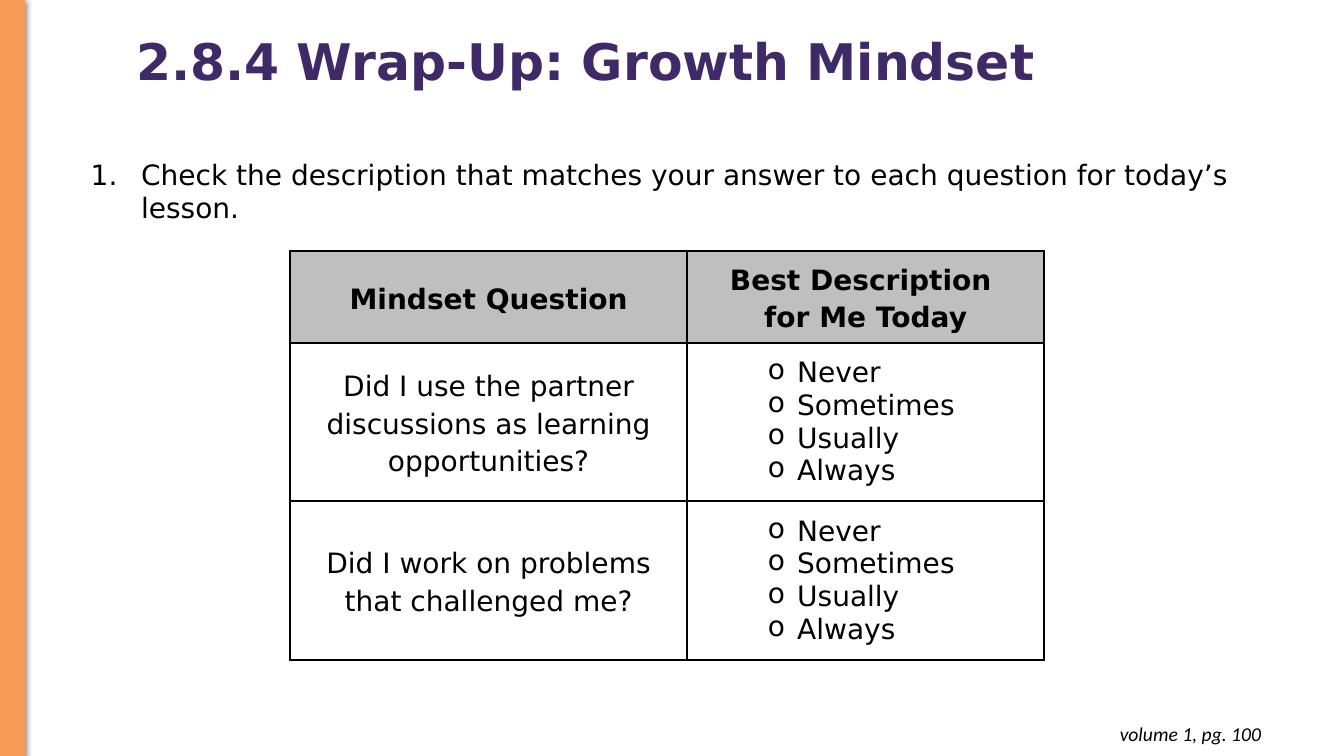
import lxml.etree
import pptx
import pptx.dml.color
import pptx.enum.shapes
import pptx.enum.text
import pptx.oxml.ns
import pptx.util

Pt = pptx.util.Pt
RGBColor = pptx.dml.color.RGBColor
Align = pptx.enum.text.PP_ALIGN
Anchor = pptx.enum.text.MSO_ANCHOR
qn = pptx.oxml.ns.qn

ORANGE = RGBColor(0xF7, 0x9B, 0x59)
PURPLE = RGBColor(0x3F, 0x2A, 0x67)
GREY = RGBColor(0xBF, 0xBF, 0xBF)
WHITE = RGBColor(0xFF, 0xFF, 0xFF)
BLACK = RGBColor(0, 0, 0)

TITLE_FONT = {"name": "DejaVu Sans", "size": Pt(36), "bold": True}
BODY_FONT = {"name": "DejaVu Sans", "size": Pt(20), "bold": False}
HEADER_FONT = {**BODY_FONT, "bold": True}
NOTE_FONT = {"name": "Calibri", "size": Pt(14), "italic": True}

TITLE_PARA = {"alignment": Align.LEFT, "line_spacing": 0.9}
PLAIN_PARA = {"alignment": Align.LEFT, "space_before": Pt(0)}
NOTE_PARA = {"alignment": Align.RIGHT}
CELL_PARA = {
    "alignment": Align.CENTER,
    "line_spacing": 1.15,
    "space_before": Pt(1.8),
    "space_after": Pt(1.8),
}

NUMBER = {"tag": "a:buAutoNum", "values": {"type": "arabicPeriod"}, "left": 36, "hang": 36}
CIRCLE = {"tag": "a:buChar", "values": {"char": "o"}, "left": 71.28, "hang": 20.88}

QUESTIONS = [
    "Did I use the partner discussions as learning opportunities?",
    "Did I work on problems that challenged me?",
]
CHOICES = ["Never", "Sometimes", "Usually", "Always"]


def apply_format(target, values):
    for name, value in values.items():
        setattr(target, name, value)


def add_element(parent, tag, **values):
    return lxml.etree.SubElement(parent, qn(tag), values)


def add_bullet(para, bullet):
    properties = para._p.get_or_add_pPr()
    properties.set("marL", str(Pt(bullet["left"])))
    properties.set("indent", str(-Pt(bullet["hang"])))
    colour = add_element(properties, "a:buClr")
    add_element(colour, "a:srgbClr", val=str(BLACK))
    add_element(properties, bullet["tag"], **bullet["values"])


def write_lines(frame, lines, para_format, font_format, colour=BLACK, bullet=None):
    for index, line in enumerate(lines):
        para = frame.add_paragraph() if index else frame.paragraphs[0]
        para.text = line
        if bullet:
            add_bullet(para, bullet)
        apply_format(para, para_format)
        for span in para.runs:
            apply_format(span.font, font_format)
            span.font.color.rgb = colour


def place(shape, box):
    apply_format(shape, dict(zip(("left", "top", "width", "height"), map(Pt, box))))


def prepare_frame(frame, anchor):
    apply_format(frame, {
        "word_wrap": True,
        "vertical_anchor": anchor,
        "auto_size": pptx.enum.text.MSO_AUTO_SIZE.SHAPE_TO_FIT_TEXT,
    })


def draw_side_bar(page, box):
    bar = page.shapes.add_shape(pptx.enum.shapes.MSO_SHAPE.RECTANGLE, *map(Pt, box))
    bar.fill.solid()
    bar.fill.fore_color.rgb = ORANGE
    bar.line.color.rgb = ORANGE
    bar.line.width = Pt(0.75)
    effects = add_element(bar._element.spPr, "a:effectLst")
    shadow = add_element(
        effects, "a:outerShdw", blurRad=str(Pt(4.5)), dist=str(Pt(1.5)),
        dir="5400000", rotWithShape="0",
    )
    colour = add_element(shadow, "a:srgbClr", val=str(BLACK))
    add_element(colour, "a:alpha", val="50000")


def draw_title(page, box):
    title = page.shapes.title
    place(title, box)
    prepare_frame(title.text_frame, Anchor.MIDDLE)
    write_lines(title.text_frame, ["2.8.4 Wrap-Up: Growth Mindset"],
                TITLE_PARA, TITLE_FONT, PURPLE)


def draw_instruction(page, box):
    body = page.placeholders[1]
    place(body, box)
    prepare_frame(body.text_frame, Anchor.TOP)
    write_lines(
        body.text_frame,
        ["Check the description that matches your answer to each question for today’s lesson."],
        PLAIN_PARA, BODY_FONT, bullet=NUMBER,
    )


def format_cell(cell, colour):
    cell.vertical_anchor = Anchor.MIDDLE
    properties = cell._tc.get_or_add_tcPr()
    for side in ("a:lnL", "a:lnR", "a:lnT", "a:lnB"):
        border = add_element(properties, side, w=str(Pt(1.5)))
        add_element(add_element(border, "a:solidFill"), "a:srgbClr", val=str(BLACK))
    cell.fill.solid()
    cell.fill.fore_color.rgb = colour


def draw_mindset_table(page, box):
    width, height = box[2:]
    header_height, question_width = 65.5, 283.7
    table = page.shapes.add_table(len(QUESTIONS) + 1, 2, *map(Pt, box)).table
    apply_format(table, {"first_row": False, "horz_banding": False})
    table.columns[0].width = Pt(question_width)
    table.columns[1].width = Pt(width - question_width)
    for index, row in enumerate(table.rows):
        row.height = Pt((height - header_height) / len(QUESTIONS) if index else header_height)
        for cell in row.cells:
            format_cell(cell, WHITE if index else GREY)
    headings = ["Mindset Question", "Best Description \vfor Me Today"]
    for column, heading in enumerate(headings):
        write_lines(table.cell(0, column).text_frame, [heading], CELL_PARA, HEADER_FONT)
    for row, question in enumerate(QUESTIONS, 1):
        write_lines(table.cell(row, 0).text_frame, [question], CELL_PARA, BODY_FONT)
        write_lines(table.cell(row, 1).text_frame, CHOICES, PLAIN_PARA, BODY_FONT,
                    bullet=CIRCLE)


def draw_page_note(page, box):
    frame = page.shapes.add_textbox(*map(Pt, box)).text_frame
    prepare_frame(frame, Anchor.TOP)
    apply_format(frame, {"margin_top": Pt(7.2), "margin_bottom": Pt(7.2)})
    write_lines(frame, ["volume 1, pg. 100"], NOTE_PARA, NOTE_FONT)


def main():
    deck = pptx.Presentation()
    apply_format(deck, {"slide_width": Pt(960), "slide_height": Pt(540)})
    page = deck.slides.add_slide(deck.slide_layouts[1])
    draw_side_bar(page, (0, -0.5, 17.5, 540.5))
    draw_mindset_table(page, (207.2, 179.3, 538.6, 292))
    draw_page_note(page, (700.6, 508.3, 207.4, 31.7))
    draw_title(page, (90, 22.3, 840, 46.8))
    draw_instruction(page, (57.6, 108.7, 850.4, 55.4))
    deck.save("out.pptx")


if __name__ == "__main__":
    main()
